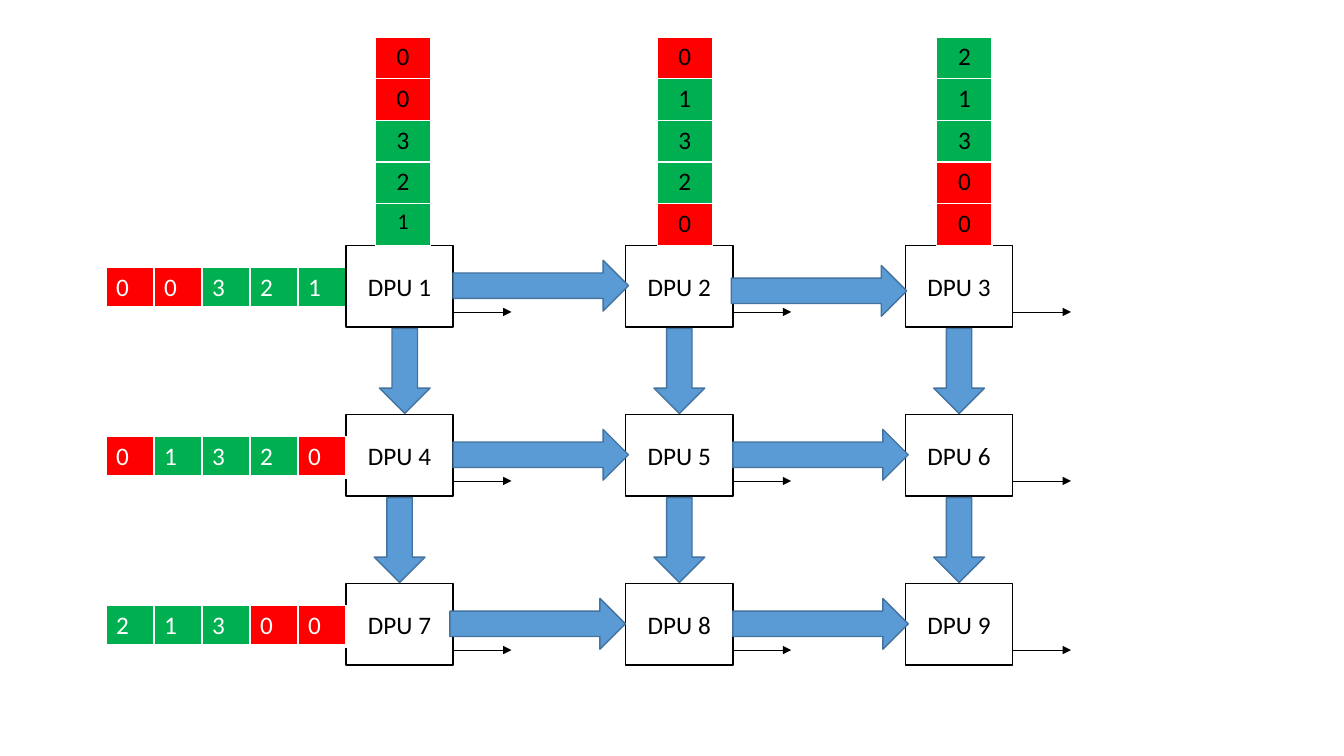
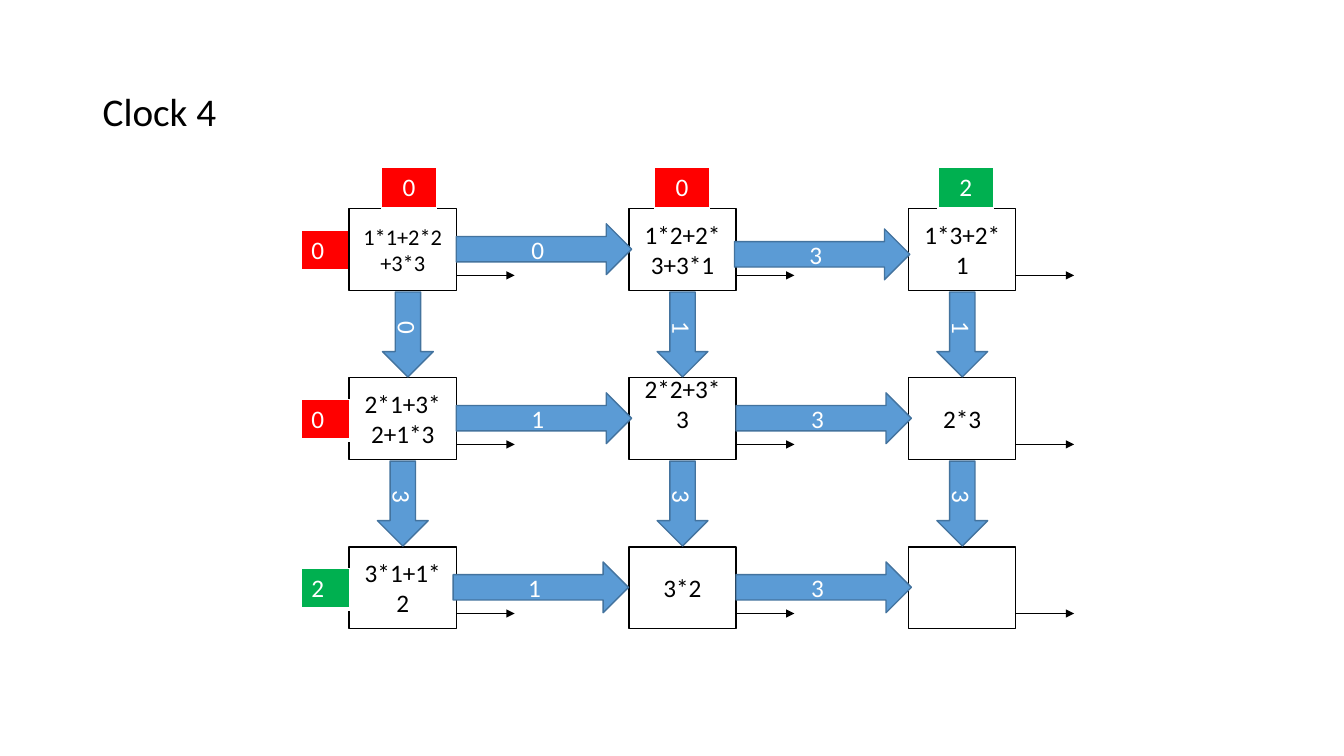
from pptx import Presentation
from pptx import util as u
from pptx.dml.color import RGBColor
from pptx.enum import shapes, text
from pptx.oxml import xmlchemy
from pptx.oxml.ns import qn

COLORS = {
    "black": "000000",
    "white": "FFFFFF",
    "padding": "FF0000",
    "value": "00B050",
    "arrow": "5B9BD5",
    "arrow_line": "43739E",
}
FONT = "Calibri"

# Lengths in centimetres; the grid is three by three processing units.
BOX_WIDTH, BOX_HEIGHT = 2.7, 2.06
PITCH_X, PITCH_Y = 7.05, 4.26
ROW_CELL = (1.21, 1.01)
COLUMN_CELL = (1.39, 1.05)
RIGHT_ARROW_NUDGES = {(0, 1): (-0.04, 0.13), (2, 0): (-0.08, 0)}
DOWN_ARROW_NUDGES = {(0, 0): 0.13}

FEED_SLIDE = {
    "origin": (8.72, 6.18),
    "boxes": [[f"DPU {3 * row + column + 1}" for column in range(3)] for row in range(3)],
    "row_inputs": ["00321", "01320", "21300"],
    "column_inputs": ["00321", "01320", "21300"],
    "column_insets": [0.74, 0.79, 0.79],
    "column_color": "black",
    "right_labels": [["", ""]] * 3,
    "down_labels": [["", "", ""]] * 2,
}
CLOCK_SLIDE = {
    "origin": (8.8, 5.26),
    "title": "Clock 4",
    "boxes": [
        ["1*1+2*2+3*3", "1*2+2*3+3*1", "1*3+2*1"],
        ["2*1+3*2+1*3", "2*2+3*3", "2*3"],
        ["3*1+1*2", "3*2", ""],
    ],
    "row_inputs": ["0", "0", "2"],
    "column_inputs": ["0", "0", "2"],
    "column_insets": [0.81, 0.64, 0.74],
    "column_color": "white",
    "right_labels": [["0", "3"], ["1", "3"], ["1", "3"]],
    "down_labels": [["0", "1", "1"], ["3", "3", "3"]],
}


def rgb(name):
    return RGBColor.from_string(COLORS[name])


def write(text_frame, content, color, size=18, align=text.PP_ALIGN.CENTER):
    text_frame.text = content
    for paragraph in text_frame.paragraphs:
        paragraph.alignment = align
        for run in paragraph.runs:
            run.font.name = FONT
            run.font.size = u.Pt(size)
            run.font.color.rgb = rgb(color)


def add_title(slide, content):
    box = slide.shapes.add_textbox(u.Cm(2.34), u.Cm(1.02), u.Cm(29.2), u.Cm(3.68))
    frame = box.text_frame
    frame.word_wrap = True
    frame.vertical_anchor = text.MSO_ANCHOR.MIDDLE
    write(frame, content, "black", 28, text.PP_ALIGN.LEFT)
    frame.paragraphs[0].line_spacing = 0.9


def add_outlined_shape(slide, kind, left, top, width, height, line):
    shape = slide.shapes.add_shape(kind, u.Cm(left), u.Cm(top), u.Cm(width), u.Cm(height))
    shape.shadow.inherit = False
    shape.line.color.rgb = rgb(line)
    shape.line.width = u.Pt(1)
    return shape


def add_box(slide, left, top, content):
    shape = add_outlined_shape(
        slide, shapes.MSO_SHAPE.RECTANGLE, left, top, BOX_WIDTH, BOX_HEIGHT, "black")
    shape.fill.background()
    write(shape.text_frame, content, "black")
    return shape


def add_arrow(slide, left, top, length, label, rotation=0):
    arrow = add_outlined_shape(
        slide, shapes.MSO_SHAPE.RIGHT_ARROW, left, top, length, 1.28, "arrow_line")
    arrow.fill.solid()
    arrow.fill.fore_color.rgb = rgb("arrow")
    arrow.rotation = rotation
    if label:
        write(arrow.text_frame, label, "white")


def add_output_line(slide, left, top):
    line = slide.shapes.add_connector(
        shapes.MSO_CONNECTOR.STRAIGHT, u.Cm(left), u.Cm(top), u.Cm(left + 1.47), u.Cm(top))
    line.line.color.rgb = rgb("black")
    line.line.width = u.Pt(0.5)
    properties = line._element.spPr
    head = xmlchemy.OxmlElement("a:tailEnd")
    head.set("type", "triangle")
    properties.find(qn("a:ln")).append(head)
    properties.append(xmlchemy.OxmlElement("a:effectLst"))


def set_borders(cell, bottom_width):
    properties = cell._tc.get_or_add_tcPr()
    widths = {"a:lnL": 1, "a:lnR": 1, "a:lnT": 1, "a:lnB": bottom_width}
    for tag, width in widths.items():
        border = xmlchemy.OxmlElement(tag)
        border.set("w", str(u.Pt(width)))
        fill = xmlchemy.OxmlElement("a:solidFill")
        color = xmlchemy.OxmlElement("a:srgbClr")
        color.set("val", COLORS["white"])
        fill.append(color)
        border.append(fill)
        properties.append(border)


def add_strip(slide, left, top, digits, cell_size, color, align, vertical=False):
    """Add a one-row or one-column table with one digit in each cell."""
    rows, columns = (len(digits), 1) if vertical else (1, len(digits))
    width, height = cell_size
    table = slide.shapes.add_table(
        rows, columns, u.Cm(left), u.Cm(top),
        u.Cm(columns * width), u.Cm(rows * height)).table
    table.first_row = table.horz_banding = False
    for row in table.rows:
        row.height = u.Cm(height)
    for column in table.columns:
        column.width = u.Cm(width)
    for cell, digit in zip(table.iter_cells(), digits):
        set_borders(cell, 3 if rows == 1 else 1)
        cell.fill.solid()
        cell.fill.fore_color.rgb = rgb("padding" if digit == "0" else "value")
        write(cell.text_frame, digit, color, align=align)
    return table


def add_row_input(slide, content, row):
    left, top = content["origin"]
    digits = content["row_inputs"][row]
    add_strip(slide, left - len(digits) * ROW_CELL[0], top + row * PITCH_Y + 0.55,
              digits, ROW_CELL, "white", text.PP_ALIGN.LEFT)


def add_boxes(slide, content):
    left, top = content["origin"]
    return [
        [add_box(slide, left + column * PITCH_X, top + row * PITCH_Y, label)
         for column, label in enumerate(labels)]
        for row, labels in enumerate(content["boxes"])
    ]


def add_column_inputs(slide, content):
    left, top = content["origin"]
    return [
        add_strip(slide, left + column * PITCH_X + inset, top - len(digits) * COLUMN_CELL[1],
                  digits, COLUMN_CELL, content["column_color"],
                  text.PP_ALIGN.CENTER, vertical=True)
        for column, (digits, inset) in enumerate(
            zip(content["column_inputs"], content["column_insets"]))
    ]


def add_output_lines(slide, content):
    left, top = content["origin"]
    for row in range(3):
        for column in range(3):
            add_output_line(slide, left + column * PITCH_X + BOX_WIDTH,
                            top + row * PITCH_Y + 1.68)


def add_arrows(slide, content):
    left, top = content["origin"]
    for row, labels in enumerate(content["right_labels"]):
        for column, label in enumerate(labels):
            shift_x, shift_y = RIGHT_ARROW_NUDGES.get((row, column), (0, 0))
            add_arrow(slide, left + column * PITCH_X + BOX_WIDTH + shift_x,
                      top + row * PITCH_Y + 0.38 + shift_y, 4.42, label)
    for row, labels in enumerate(content["down_labels"]):
        for column, label in enumerate(labels):
            shift = DOWN_ARROW_NUDGES.get((row, column), 0)
            add_arrow(slide, left + column * PITCH_X + 0.28 + shift,
                      top + row * PITCH_Y + 2.53, 2.14, label, rotation=90)


def add_array_slide(presentation, content):
    """Add a slide with the processing array; return its boxes and column tables."""
    slide = presentation.slides.add_slide(presentation.slide_layouts[6])
    if "title" in content:
        add_title(slide, content["title"])
    add_row_input(slide, content, 0)
    boxes = add_boxes(slide, content)
    for row in (1, 2):
        add_row_input(slide, content, row)
    column_tables = add_column_inputs(slide, content)
    add_output_lines(slide, content)
    add_arrows(slide, content)
    return boxes, column_tables


def main():
    presentation = Presentation()
    presentation.slide_width = u.Cm(33.87)
    presentation.slide_height = u.Cm(19.05)

    _, column_tables = add_array_slide(presentation, FEED_SLIDE)
    write(column_tables[0].cell(4, 0).text_frame, "1", "black", 16)

    boxes, _ = add_array_slide(presentation, CLOCK_SLIDE)
    write(boxes[0][0].text_frame, "1*1+2*2+3*3", "black", 16)
    boxes[1][1].text_frame.margin_bottom = u.Cm(0.89)

    presentation.save("out.pptx")


if __name__ == "__main__":
    main()
